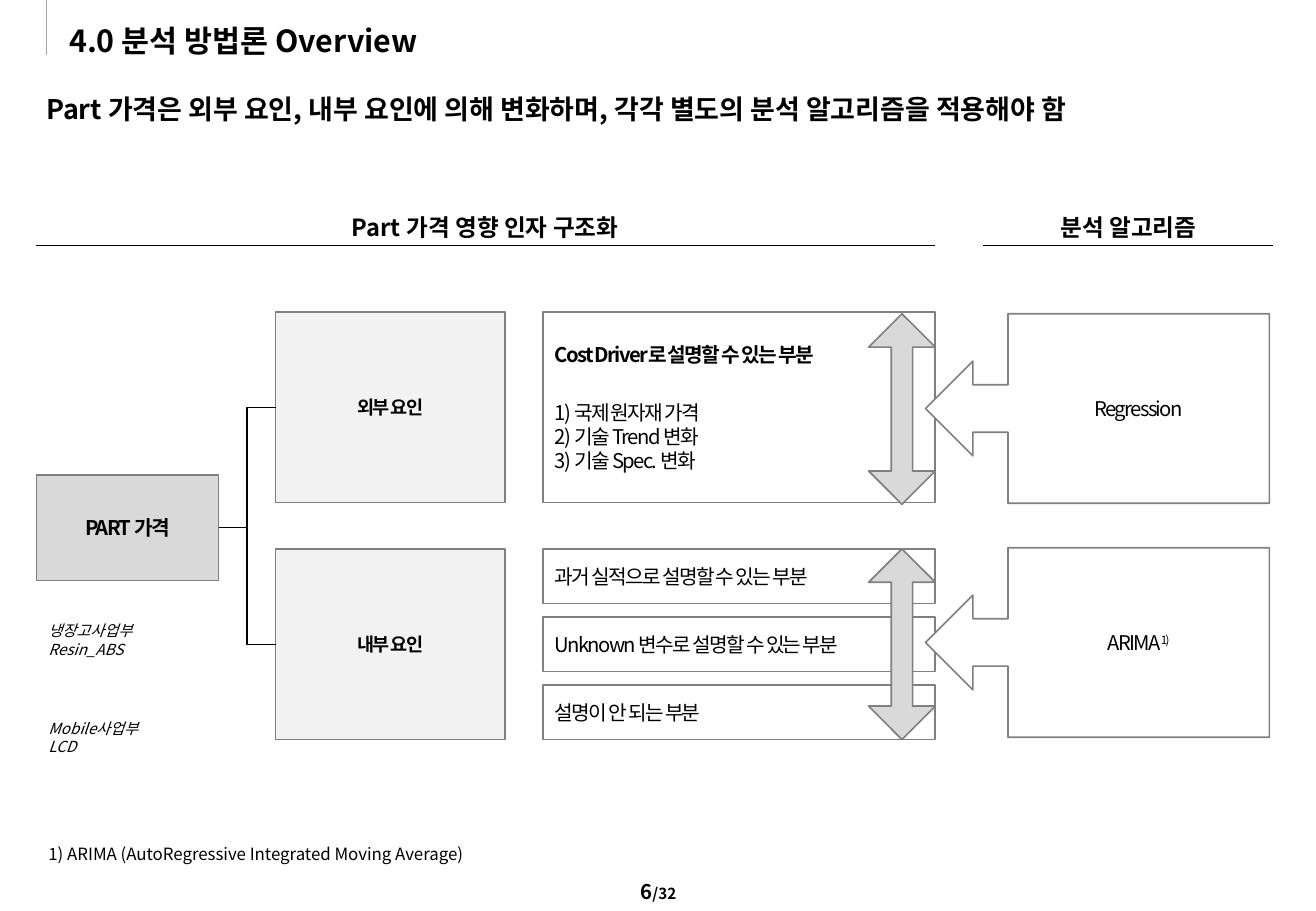
from lxml import etree
from pptx import Presentation
from pptx.dml.color import RGBColor
from pptx.enum import shapes, text
from pptx.oxml import ns
from pptx.util import Pt

BLACK = RGBColor(0x00, 0x00, 0x00)
WHITE = RGBColor(0xFF, 0xFF, 0xFF)
PALE = RGBColor(0xF2, 0xF2, 0xF2)
SILVER = RGBColor(0xD9, 0xD9, 0xD9)
RULE = RGBColor(0xA6, 0xA6, 0xA6)
OUTLINE = RGBColor(0x80, 0x80, 0x80)
FONT = "Noto Sans CJK KR"
LINE_HEIGHT = 1.2

SHAPE, ALIGN, ANCHOR = shapes.MSO_SHAPE, text.PP_ALIGN, text.MSO_ANCHOR
CONNECTOR = shapes.MSO_CONNECTOR

# text, (left, top, width, height), size
HEADINGS = [
    ("4.0 분석 방법론 Overview", (41, 13, 536.4, 21.6), 18),
    ("Part 가격은 외부 요인, 내부 요인에 의해 변화하며, 각각 별도의 분석 알고리즘을 적용해야 함",
     (27.4, 54.7, 725.8, 54.7), 16),
]
# text, text left, text width, rule left, rule right
COLUMN_HEADERS = [
    ("Part 가격 영향 인자 구조화", 80.6, 414, 21.6, 554.4),
    ("분석 알고리즘", 601.9, 133.9, 582.5, 754.6),
]
# lines, (left, top, width, height), size, italic
NOTES = [
    (["냉장고사업부", "Resin_ABS"], (21.6, 365, 90, 28.8), 9, True),
    (["Mobile사업부", "LCD"], (21.6, 422.6, 90, 28.8), 9, True),
    (["1) ARIMA (AutoRegressive Integrated Moving Average)"],
     (21.6, 496.8, 300, 19.4), 10, False),
]
ROOT = ("PART 가격", (21.6, 281.5, 108, 62.6))
COST_DRIVER = "Cost Driver로 설명할 수 있는 부분"
COST_ITEMS = ["1) 국제 원자재 가격", "2) 기술 Trend 변화", "3) 기술 Spec. 변화"]
INTERNAL_PARTS = ["과거 실적으로 설명할 수 있는 부분", "Unknown 변수로 설명할 수 있는 부분",
                  "설명이 안 되는 부분"]
# factor, box top, arrow top, callout top, algorithm, footnote mark
FACTORS = [
    ("외부 요인", 185, 186, 186, "Regression", ""),
    ("내부 요인", 325.4, 325.4, 324.7, "ARIMA", "1)"),
]
FACTOR_X, FACTOR_W = 163.4, 136
PART_X, PART_W = 321.8, 232.6
ARROW_X, ARROW_W = 514.8, 39.6
CALLOUT_X, CALLOUT_W, CALLOUT_H = 548.6, 203.8, 112.3
ROW_H, PART_H = 113, 32.4
HEADER_Y, HEADER_H, HEADER_RULE_Y = 126, 19.4, 145.4
PAGE_BOX = (308.9, 517.7, 162.7, 23.8)

prs = Presentation()
prs.slide_width, prs.slide_height = Pt(780), Pt(540)
s = prs.slides.add_slide(prs.slide_layouts[6])


def add_run(p, content, size, spacing=0, raised=False, **font):
    r = p.add_run()
    r.text = content
    for name, value in dict(name=FONT, size=Pt(size), **font).items():
        setattr(r.font, name, value)
    r.font.color.rgb = BLACK
    rPr = r._r.get_or_add_rPr()
    etree.SubElement(rPr, ns.qn("a:ea"), typeface=FONT)
    if spacing:
        rPr.set("spc", str(spacing * 100))
    if raised:
        rPr.set("baseline", "30000")


def write(tf, lines, size, align=ALIGN.LEFT, **font):
    """Add one paragraph per line and return the paragraphs."""
    tf.word_wrap = True
    for i, line in enumerate(lines):
        p = tf.add_paragraph() if i else tf.paragraphs[0]
        p.alignment = align
        p.line_spacing = Pt(size * LINE_HEIGHT)
        add_run(p, line, size, **font)
    return tf.paragraphs


def add_text(lines, box, size, inset=True, anchor=ANCHOR.TOP, **style):
    tf = s.shapes.add_textbox(*map(Pt, box)).text_frame
    tf.vertical_anchor = anchor
    if not inset:
        for side in ("left", "top", "right", "bottom"):
            setattr(tf, f"margin_{side}", 0)
    return write(tf, lines, size, **style)


def add_box(box, fill=None, kind=SHAPE.RECTANGLE, adjust=()):
    sp = s.shapes.add_shape(kind, *map(Pt, box))
    sp.shadow.inherit = False
    for i, value in enumerate(adjust):
        sp.adjustments[i] = value
    if fill is None:
        sp.fill.background()
    else:
        sp.fill.solid()
        sp.fill.fore_color.rgb = fill
    sp.line.color.rgb = OUTLINE
    sp.line.width = Pt(1)
    sp.text_frame.vertical_anchor = ANCHOR.MIDDLE
    return sp


def add_line(x1, y1, x2, y2, color=BLACK, kind=CONNECTOR.STRAIGHT):
    c = s.shapes.add_connector(kind, *map(Pt, (x1, y1, x2, y2)))
    c.line.color.rgb = color
    c.line.width = Pt(0.75)
    etree.SubElement(c._element.spPr, ns.qn("a:effectLst"))
    return c


add_line(27.4, 0, 27.4, 32.4, RULE)
for heading, box, size in HEADINGS:
    add_text([heading], box, size, inset=False, bold=True)
for header, x, w, x1, x2 in COLUMN_HEADERS:
    add_text([header], (x, HEADER_Y, w, HEADER_H), 14, inset=False,
             align=ALIGN.CENTER, bold=True)
    add_line(x1, HEADER_RULE_Y, x2, HEADER_RULE_Y)

root = add_box(ROOT[1], SILVER)
write(root.text_frame, [ROOT[0]], 12, ALIGN.CENTER, spacing=-1, bold=True)
for factor, top, *_ in FACTORS:
    sp = add_box((FACTOR_X, top, FACTOR_W, ROW_H), PALE)
    write(sp.text_frame, [factor], 11, ALIGN.CENTER, spacing=-1, bold=True)
    branch = add_line(0, 0, 1, 1, kind=CONNECTOR.ELBOW)
    branch.begin_connect(root, 3)
    branch.end_connect(sp, 1)

external_top, internal_top = (factor[1] for factor in FACTORS)
cost = add_box((PART_X, external_top, PART_W, ROW_H))
cost_lines = write(cost.text_frame, [COST_DRIVER, *COST_ITEMS], 12, spacing=-1)
cost_lines[0].runs[0].font.bold = True
cost_lines[1].space_before = Pt(20)

part_step = (ROW_H - PART_H) / (len(INTERNAL_PARTS) - 1)
for i, part in enumerate(INTERNAL_PARTS):
    sp = add_box((PART_X, internal_top + i * part_step, PART_W, PART_H))
    write(sp.text_frame, [part], 12, spacing=-1)

for _, _, arrow_top, callout_top, algorithm, mark in FACTORS:
    add_box((ARROW_X, arrow_top, ARROW_W, ROW_H), SILVER, SHAPE.UP_DOWN_ARROW, (0.5, 0.32))
    sp = add_box((CALLOUT_X, callout_top, CALLOUT_W, CALLOUT_H), WHITE,
                 SHAPE.LEFT_ARROW_CALLOUT, (0.25, 0.25, 0.25, 0.76))
    p = write(sp.text_frame, [algorithm], 12, ALIGN.CENTER, spacing=-1)[0]
    if mark:
        add_run(p, mark, 12, spacing=-1, raised=True)

for lines, box, size, italic in NOTES:
    add_text(lines, box, size, italic=italic)
page = add_text(["6"], PAGE_BOX, 12, align=ALIGN.CENTER, bold=True)[0]
add_run(page, "/32", 9, bold=True)

prs.save("out.pptx")
